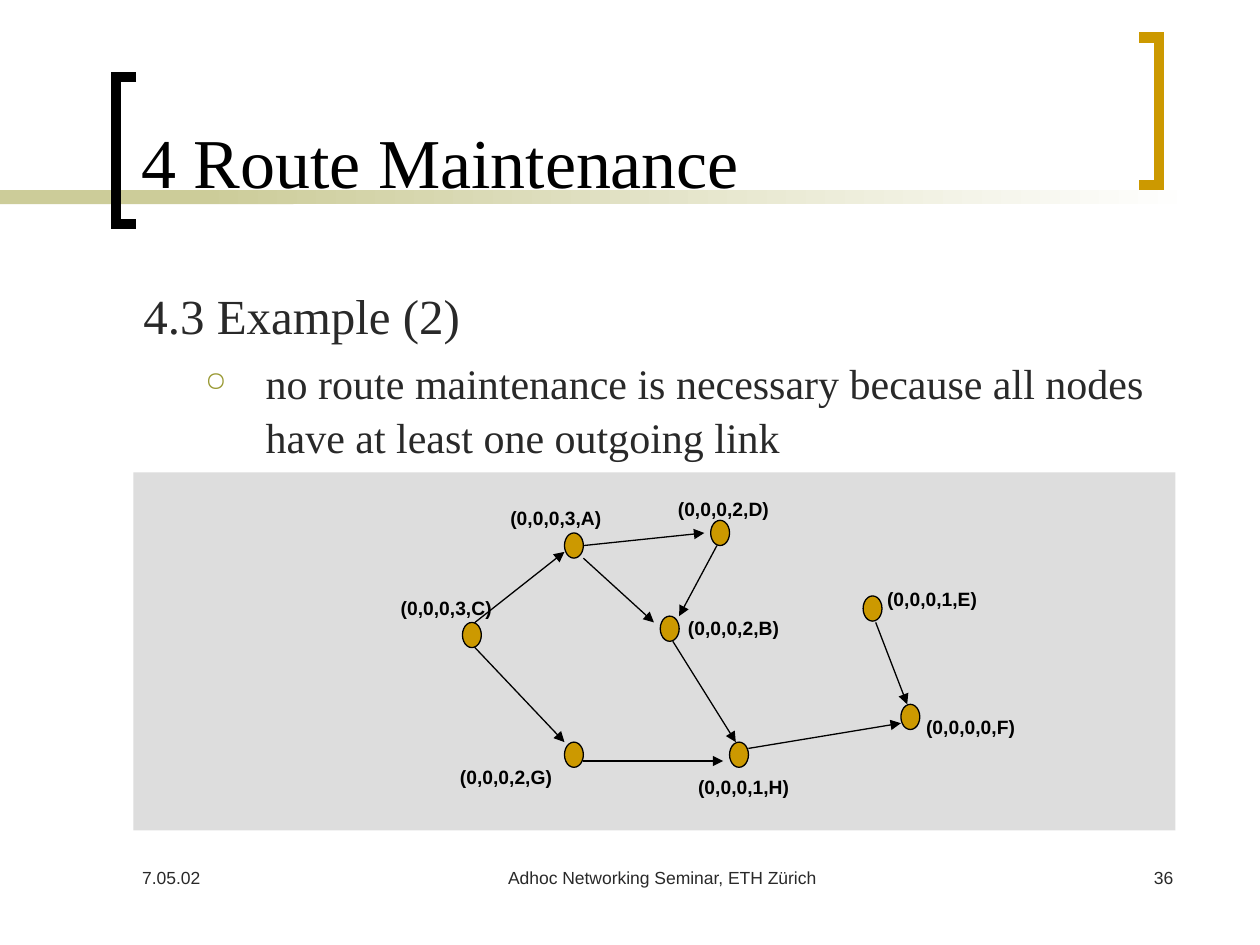
from lxml import etree
from pptx import Presentation
from pptx import util as u
from pptx.dml import color
from pptx.enum import shapes, text
from pptx.oxml import ns

SCALE = 9144
SERIF, SANS = "Times New Roman", "Arial"
colour = color.RGBColor.from_string
LEFT, CENTER, RIGHT = text.PP_ALIGN.LEFT, text.PP_ALIGN.CENTER, text.PP_ALIGN.RIGHT


def px(*lengths):
    return [u.Emu(length * SCALE) for length in lengths]


def write(para, words, font, size, hue, bold=False, align=LEFT):
    para.alignment = align
    span = para.add_run()
    span.text = words
    span.font.name = font
    span.font.size = u.Pt(size)
    span.font.bold = bold
    span.font.color.rgb = colour(hue)


deck = Presentation()
deck.slide_width, deck.slide_height = px(1000, 750)
page = deck.slides.add_slide(deck.slide_layouts[5])

solid_band = page.shapes.add_shape(shapes.MSO_SHAPE.RECTANGLE, *px(0, 151, 233, 11))
solid_band.fill.solid()
solid_band.fill.fore_color.rgb = colour("CCCC99")
fading_band = page.shapes.add_shape(shapes.MSO_SHAPE.RECTANGLE, *px(158, 151, 792, 11))
fading_band.fill.gradient()
fading_band.fill.gradient_angle = 0
for stop, position, hue in zip(fading_band.fill.gradient_stops, (0, 1), ("CCCC99", "FFFFFF")):
    stop.position = position
    stop.color.rgb = colour(hue)
panel = page.shapes.add_shape(shapes.MSO_SHAPE.RECTANGLE, *px(106, 375, 827, 284))
panel.fill.solid()
panel.fill.fore_color.rgb = colour("DDDDDD")
for block in (solid_band, fading_band, panel):
    block.shadow.inherit = False
    block.line.fill.background()

for tip, spine, top, hue in ((108, 92, 61, "000000"), (904, 920, 30, "CC9900")):
    outline = page.shapes.build_freeform(tip, top, SCALE)
    outline.add_line_segments([(spine, top), (spine, top + 117), (tip, top + 117)], close=False)
    bracket = outline.convert_to_shape()
    bracket.shadow.inherit = False
    bracket.fill.background()
    bracket.line.color.rgb = colour(hue)
    bracket.line.width = u.Pt(6)
    etree.SubElement(bracket.line._get_or_add_ln(), ns.qn("a:miter"), lim="800000")

title = page.shapes.title
title.left, title.top, title.width, title.height = px(102, 11, 783, 155)
title.text_frame.auto_size = text.MSO_AUTO_SIZE.NONE
title.text_frame.vertical_anchor = text.MSO_ANCHOR.BOTTOM
write(title.text_frame.paragraphs[0], "4 Route Maintenance", SERIF, 40, "000000")
title.element.getparent().append(title.element)

body = page.shapes.add_textbox(*px(104, 219, 838, 150)).text_frame
body.word_wrap = True
heading = body.paragraphs[0]
heading.line_spacing = 1.06
write(heading, "4.3 Example (2)", SERIF, 28, "292929")
point = body.add_paragraph()
point.line_spacing = 1.06
point.space_before = u.Pt(6)
properties = point._p.get_or_add_pPr()
properties.set("marL", str(97 * SCALE))
properties.set("indent", str(-48 * SCALE))
bullet_colour = etree.SubElement(properties, ns.qn("a:buClr"))
etree.SubElement(bullet_colour, ns.qn("a:srgbClr"), val="999933")
etree.SubElement(properties, ns.qn("a:buSzPct"), val="65000")
etree.SubElement(properties, ns.qn("a:buChar"), char="○")
write(point, "no route maintenance is necessary because all nodes have at least one outgoing link",
      SERIF, 24, "292929")

footers = (
    (103, 208, "7.05.02", LEFT),
    (367, 317, "Adhoc Networking Seminar, ETH Zürich", CENTER),
    (733, 208, "36", RIGHT),
)
for left, width, words, align in footers:
    box = page.shapes.add_textbox(*px(left, 683, width, 50)).text_frame
    box.word_wrap = True
    write(box.paragraphs[0], words, SANS, 10, "292929", align=align)

graph = page.shapes.add_group_shape()
nodes = (
    (448, 423, "(0,0,0,3,A)", 398, 398),
    (564, 413, "(0,0,0,2,D)", 531, 391),
    (367, 494, "(0,0,0,3,C)", 311, 469),
    (685, 473, "(0,0,0,1,E)", 697, 462),
    (524, 489, "(0,0,0,2,B)", 539, 485),
    (448, 589, "(0,0,0,2,G)", 358, 603),
    (579, 589, "(0,0,0,1,H)", 547, 611),
    (715, 559, "(0,0,0,0,F)", 728, 564),
)
for left, top, label, label_left, label_top in nodes:
    node = graph.shapes.add_shape(shapes.MSO_SHAPE.OVAL, *px(left, top, 15, 20))
    node.shadow.inherit = False
    node.fill.solid()
    node.fill.fore_color.rgb = colour("CC9900")
    node.line.color.rgb = colour("000000")
    node.line.width = u.Pt(0.75)
    box = page.shapes.add_textbox(*px(label_left, label_top, 102, 26)).text_frame
    box.word_wrap = True
    box.margin_left, box.margin_top, box.margin_right, box.margin_bottom = px(7, 4, 7, 4)
    write(box.paragraphs[0], label, SANS, 11, "000000", bold=True)

links = (
    (377, 494, 448, 438),
    (463, 433, 559, 423),
    (377, 514, 448, 589),
    (463, 443, 519, 494),
    (569, 433, 539, 489),
    (463, 604, 574, 604),
    (534, 509, 584, 589),
    (594, 594, 715, 574),
    (695, 494, 720, 559),
)
for ends in links:
    link = graph.shapes.add_connector(shapes.MSO_CONNECTOR.STRAIGHT, *px(*ends))
    link.line.color.rgb = colour("000000")
    link.line.width = u.Pt(0.75)
    etree.SubElement(link.line._get_or_add_ln(), ns.qn("a:tailEnd"), type="triangle")
    etree.SubElement(link.element.spPr, ns.qn("a:effectLst"))

deck.save("out.pptx")
